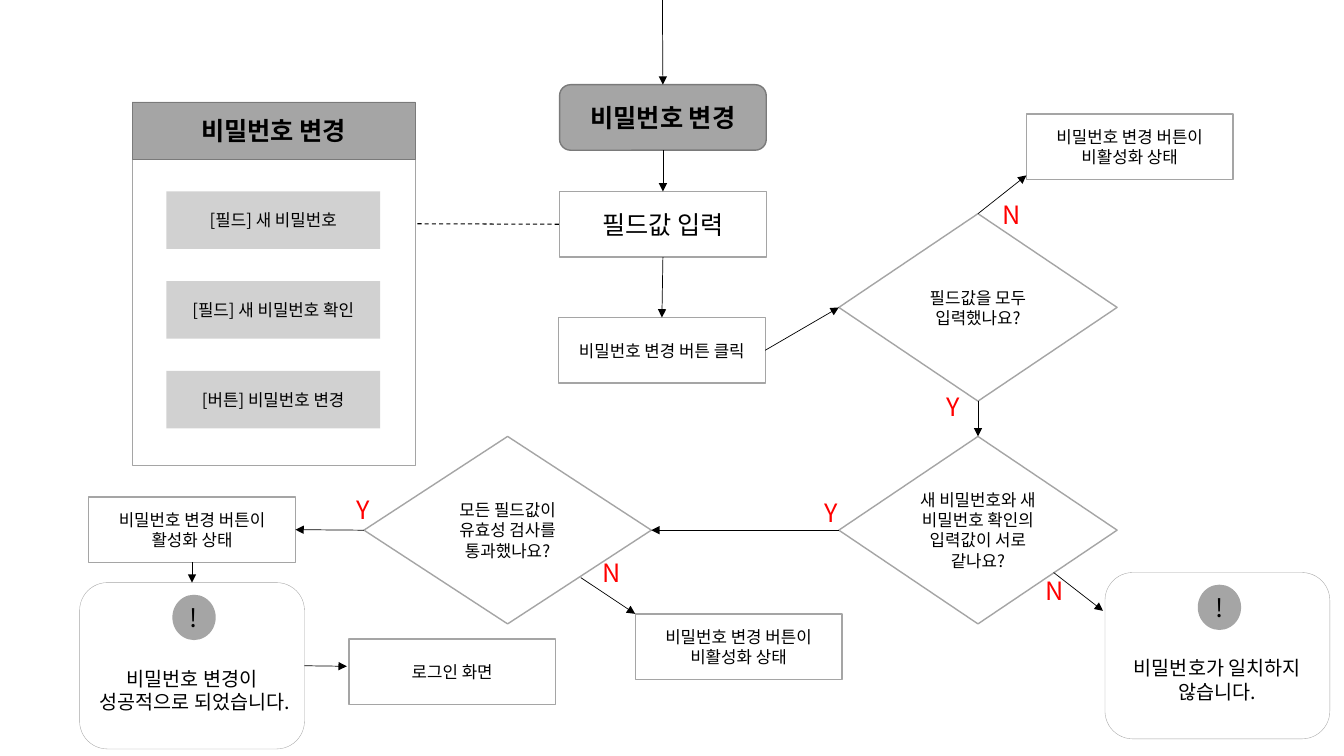
from lxml import etree
from pptx import Presentation
from pptx.dml.color import RGBColor
from pptx.enum.dml import MSO_LINE
from pptx.enum.shapes import MSO_CONNECTOR, MSO_SHAPE
from pptx.enum.text import MSO_ANCHOR, PP_ALIGN
from pptx.oxml.ns import qn
from pptx.util import Pt

PX = 9144  # EMU per px, 100 px to the inch
FONT = "Noto Sans CJK KR"
BLACK, WHITE, GREY, DARK, RED = "000000", "FFFFFF", "A5A5A5", "7A7A7A", "FF0000"
RECT, ROUND = MSO_SHAPE.RECTANGLE, MSO_SHAPE.ROUNDED_RECTANGLE
DIAMOND, OVAL = MSO_SHAPE.FLOWCHART_DECISION, MSO_SHAPE.OVAL
TOP, LEFT, BOTTOM, RIGHT = range(4)
STEP_W, STEP_H = 205, 65

deck = Presentation()
deck.slide_width, deck.slide_height = 1333 * PX, 750 * PX
page = deck.slides.add_slide(deck.slide_layouts[6])


def add_box(kind, x, y, w, h, text="", size=12, fill=WHITE, line=GREY,
            weight=1, bold=False, color=BLACK):
    """Add a shape with centred text, or a plain text box when kind is None."""
    bounds = [v * PX for v in (x, y, w, h)]
    if kind is None:
        box = page.shapes.add_textbox(*bounds)
    else:
        box = page.shapes.add_shape(kind, *bounds)
        box.shadow.inherit = False
        box.fill.solid()
        box.fill.fore_color.rgb = RGBColor.from_string(fill)
        if line:
            box.line.color.rgb = RGBColor.from_string(line)
            box.line.width = Pt(weight)
        else:
            box.line.fill.background()
        box.text_frame.vertical_anchor = MSO_ANCHOR.MIDDLE
    box.text_frame.word_wrap = True
    if text:
        para = box.text_frame.paragraphs[0]
        para.text = text
        para.alignment = PP_ALIGN.LEFT if kind is None else PP_ALIGN.CENTER
        para.font.size, para.font.bold, para.font.name = Pt(size), bold, FONT
        para.font.color.rgb = RGBColor.from_string(color)
        defaults = para._p.pPr.find(qn("a:defRPr"))
        etree.SubElement(defaults, qn("a:ea"), typeface=FONT)
    return box


def add_link(start, end, dashed=False):
    """Join two ends, each an (x, y) point or a (shape, side) pair."""
    points = [p if isinstance(p[0], int) else (0, 0) for p in (start, end)]
    link = page.shapes.add_connector(
        MSO_CONNECTOR.STRAIGHT, *[v * PX for point in points for v in point])
    if not isinstance(start[0], int):
        link.begin_connect(*start)
    if not isinstance(end[0], int):
        link.end_connect(*end)
    link.line.color.rgb = RGBColor.from_string(BLACK)
    link.line.width = Pt(0.75 if dashed else 0.5)
    if dashed:
        link.line.dash_style = MSO_LINE.DASH
    else:
        etree.SubElement(link.line._get_or_add_ln(), qn("a:tailEnd"), type="triangle")
    etree.SubElement(link._element.spPr, qn("a:effectLst"))


# Screen panel
add_box(RECT, 131, 105, 281, 357, weight=0.25)
add_box(RECT, 131, 101, 281, 57, "비밀번호 변경", 18, GREY, DARK, 0.25, True)
for row, label in enumerate(
        ["[필드] 새 비밀번호", "[필드] 새 비밀번호 확인", "[버튼] 비밀번호 변경"]):
    field = add_box(RECT, 165, 190 + 89 * row, 212, 57, label, fill=GREY, line=None)
    fill_color = field._element.spPr.find(".//" + qn("a:srgbClr"))
    etree.SubElement(fill_color, qn("a:alpha"), val="50000")

# Steps
title = add_box(ROUND, 555, 84, STEP_W, STEP_H, "비밀번호 변경", 18, GREY, DARK, bold=True)
entry = add_box(RECT, 555, 190, STEP_W, STEP_H, "필드값 입력", 18)
steps = [
    add_box(RECT, x, y, STEP_W, STEP_H, text) for x, y, text in [
        (554, 315, "비밀번호 변경 버튼 클릭"),
        (88, 493, "비밀번호 변경 버튼이 활성화 상태"),
        (1018, 113, "비밀번호 변경 버튼이 비활성화 상태"),
        (630, 609, "비밀번호 변경 버튼이 비활성화 상태"),
        (346, 634, "로그인 화면"),
    ]
]
click, enabled = steps[:2]

# Decisions
filled = add_box(DIAMOND, 832, 212, 276, 186, "필드값을 모두 입력했나요?")
matching = add_box(DIAMOND, 832, 433, 276, 186,
                   "새 비밀번호와 새 비밀번호 확인의 입력값이 서로 같나요?")
valid = add_box(DIAMOND, 361, 433, 285, 186, "모든 필드값이 유효성 검사를 통과했나요?")

# Pop-ups
popups = []
for x, y, message in [(79, 578, "비밀번호 변경이 성공적으로 되었습니다."),
                      (1096, 568, "비밀번호가 일치하지 않습니다.")]:
    popup = add_box(ROUND, x, y, 223, 165, message, 14, weight=0.25)
    popup.text_frame.margin_top = 53 * PX
    add_box(OVAL, x + 92, y + 12, 43, 45, "!", 18, GREY, None)
    popups.append(popup)
success = popups[0]

# Links
for start, end in [
    ((657, 0), (title, TOP)),
    ((title, BOTTOM), (entry, TOP)),
    ((entry, BOTTOM), (click, TOP)),
    ((click, RIGHT), (filled, LEFT)),
    ((filled, TOP), (1018, 174)),
    ((filled, BOTTOM), (matching, TOP)),
    ((matching, LEFT), (valid, RIGHT)),
    ((1045, 568), (1094, 606)),
    ((valid, LEFT), (enabled, RIGHT)),
    ((576, 573), (630, 609)),
    ((enabled, BOTTOM), (success, TOP)),
    ((success, RIGHT), (344, 661)),
]:
    add_link(start, end)
add_link((414, 222), (entry, LEFT), dashed=True)

# Answers
for answer, x, y in [("Y", 929, 383), ("N", 984, 193), ("N", 1027, 566),
                     ("Y", 808, 488), ("Y", 344, 485), ("N", 588, 548)]:
    add_box(None, x, y, 34, 40, answer, 18, color=RED)

deck.save("out.pptx")
